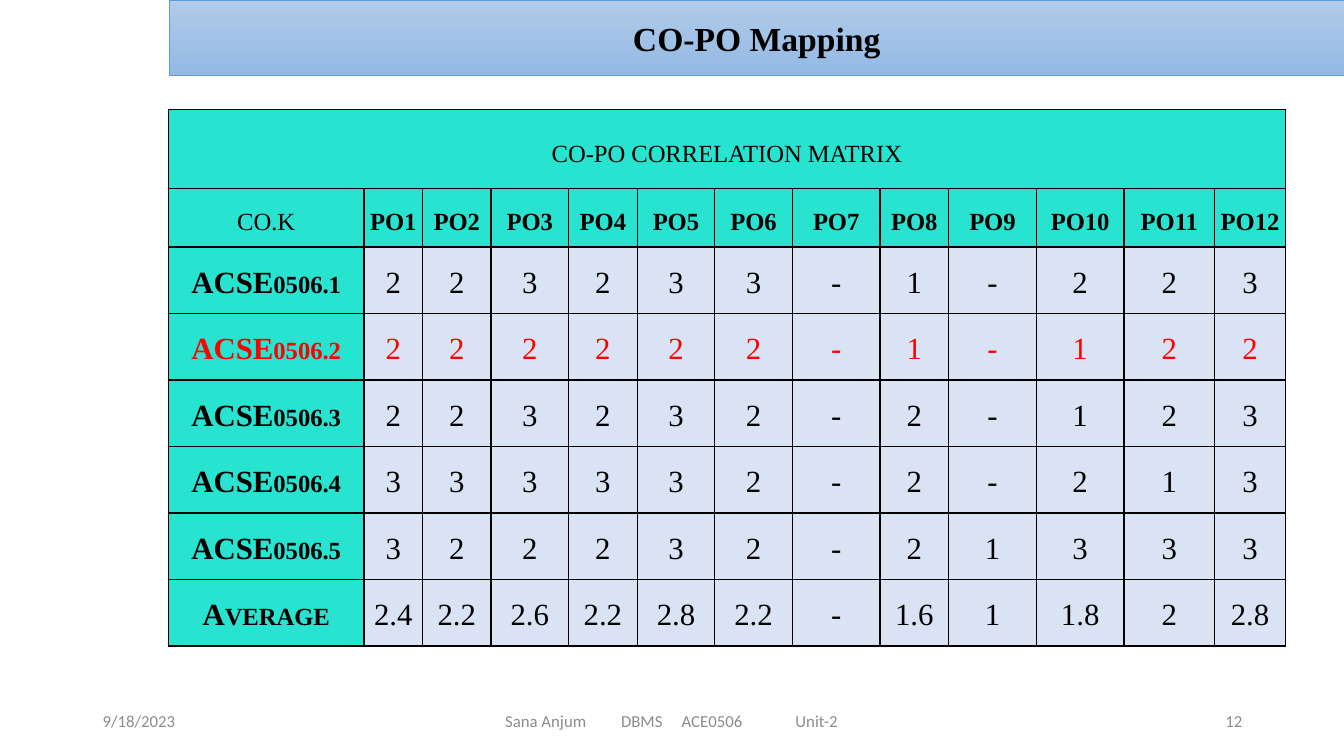
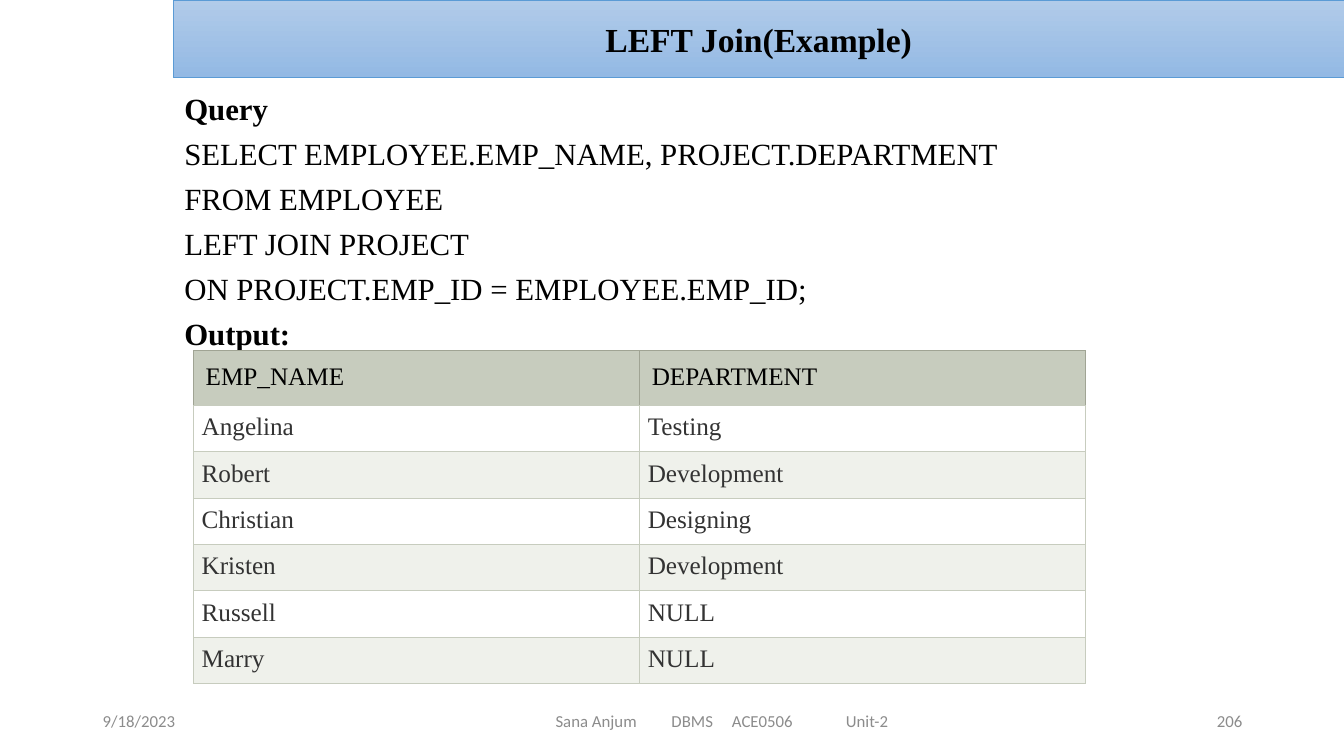
from dataclasses import dataclass

from lxml import etree
from pptx import Presentation
from pptx.dml.color import RGBColor
from pptx.enum.text import MSO_ANCHOR, MSO_AUTO_SIZE, PP_ALIGN
from pptx.oxml.ns import qn
from pptx.util import Inches, Pt

LEFT, CENTER, RIGHT = PP_ALIGN.LEFT, PP_ALIGN.CENTER, PP_ALIGN.RIGHT
JUSTIFY = PP_ALIGN.JUSTIFY
TOP, MIDDLE = MSO_ANCHOR.TOP, MSO_ANCHOR.MIDDLE
NO_FIT = MSO_AUTO_SIZE.NONE


@dataclass(frozen=True)
class Theme:
    serif: str = "Times New Roman"
    sans: str = "Calibri"
    title_size: int = 24
    body_size: int = 22
    table_size: int = 18
    footer_size: int = 12
    black: str = "000000"
    highlight: str = "FF0000"
    footer: str = "8C8C8C"
    band_top: str = "B1CBE9"
    band_bottom: str = "93B9E4"
    band_line: str = "5B9BD5"
    matrix_head: str = "29E3D1"
    matrix_body: str = "DAE3F3"
    output_head: str = "C7CCBE"
    output_head_line: str = "A0A494"
    output_text: str = "333333"
    output_odd: str = "FFFFFF"
    output_even: str = "EFF1EB"


theme = Theme()


def add_span(para, text, size, color, font=theme.serif, bold=False, small_caps=False):
    span = para.add_run()
    span.text = text
    span.font.name = font
    span.font.size = Pt(size)
    span.font.bold = bold
    span.font.color.rgb = RGBColor.from_string(color)
    if small_caps:
        span.font._element.set("cap", "small")


def format_cell(cell, fill, margin, anchor, line_width, lines):
    cell.margin_left = cell.margin_right = Inches(margin)
    cell.margin_top = cell.margin_bottom = Inches(margin)
    cell.vertical_anchor = anchor
    properties = cell._tc.get_or_add_tcPr()
    for side, color in zip(("lnL", "lnR", "lnT", "lnB"), lines):
        line = etree.SubElement(properties, qn(f"a:{side}"), w=str(Pt(line_width)))
        solid = etree.SubElement(line, qn("a:solidFill"))
        etree.SubElement(solid, qn("a:srgbClr"), val=color)
    cell.fill.solid()
    cell.fill.fore_color.rgb = RGBColor.from_string(fill)


deck = Presentation()
deck.slide_width, deck.slide_height = Inches(13.33), Inches(7.5)

footer_parts = ("Sana Anjum", "DBMS", "ACE0506", "Unit-2")
footer_tabs = (1.15, 1.75, 2.88)
footer_text_width = 3.32

pages = []
for title_text, band_left, band_height, footer_width, number in (
    ("CO-PO Mapping", 1.68, 0.75, 4.5, "12"),
    ("LEFT Join(Example)", 1.72, 0.77, 5.5, "206"),
):
    page = deck.slides.add_slide(deck.slide_layouts[5])
    pages.append(page)

    title = page.shapes.title
    title.left, title.top = Inches(band_left), Inches(0)
    title.width, title.height = Inches(13.33 - band_left), Inches(band_height)
    title.fill.gradient()
    title.fill.gradient_angle = 270
    for stop, color in zip(title.fill.gradient_stops, (theme.band_top, theme.band_bottom)):
        stop.color.rgb = RGBColor.from_string(color)
    title.line.color.rgb = RGBColor.from_string(theme.band_line)
    title.line.width = Pt(0.5)
    title.text_frame.auto_size = NO_FIT
    title.text_frame.vertical_anchor = MIDDLE
    para = title.text_frame.paragraphs[0]
    para.alignment = CENTER
    add_span(para, title_text, theme.title_size, theme.black, bold=True)

    for left, width, inset, align, text in (
        (0.92, 3, 0.1, LEFT, "9/18/2023"),
        (4.42, footer_width, (footer_width - footer_text_width) / 2, LEFT, "\t".join(footer_parts)),
        (9.42, 3, 0.1, RIGHT, number),
    ):
        box = page.shapes.add_textbox(Inches(left), Inches(6.95), Inches(width), Inches(0.4))
        frame = box.text_frame
        frame.word_wrap = True
        frame.vertical_anchor = MIDDLE
        frame.margin_left = Inches(inset)
        para = frame.paragraphs[0]
        para.alignment = align
        if "\t" in text:
            tabs = etree.SubElement(para._p.get_or_add_pPr(), qn("a:tabLst"))
            for position in footer_tabs:
                etree.SubElement(tabs, qn("a:tab"), pos=str(Inches(position)), algn="l")
        add_span(para, text, theme.footer_size, theme.footer, font=theme.sans)

mapping_page, join_page = pages

matrix_rows = [
    ["co-po correlation matrix"] + [""] * 12,
    ["co.k"] + [f"po{number}" for number in range(1, 13)],
    ["ACSE0506.1", *"223233-1-223"],
    ["ACSE0506.2", *"222222-1-122"],
    ["ACSE0506.3", *"223232-2-123"],
    ["ACSE0506.4", *"333332-2-213"],
    ["ACSE0506.5", *"322232-21333"],
    ["Average", "2.4", "2.2", "2.6", "2.2", "2.8", "2.2", "-", "1.6", "1", "1.8", "2", "2.8"],
]
matrix_widths = (1.94, 0.58, 0.68, 0.77, 0.68, 0.77, 0.77, 0.87, 0.68, 0.87, 0.87, 0.9, 0.7)
matrix_heights = [0.78, 0.58] + [0.66] * 6
highlight_row = 3

matrix = mapping_page.shapes.add_table(
    len(matrix_rows), len(matrix_widths),
    Inches(1.67), Inches(1.09), Inches(sum(matrix_widths)), Inches(sum(matrix_heights)),
).table
matrix.first_row = matrix.horz_banding = False
for column, width in zip(matrix.columns, matrix_widths):
    column.width = Inches(width)
for row, height in zip(matrix.rows, matrix_heights):
    row.height = Inches(height)
matrix.cell(0, 0).merge(matrix.cell(0, len(matrix_widths) - 1))

for r, values in enumerate(matrix_rows):
    for c, value in enumerate(values):
        is_label = r < 2 or c == 0
        cell = matrix.cell(r, c)
        fill = theme.matrix_head if is_label else theme.matrix_body
        format_cell(cell, fill, 0, MIDDLE, 1, [theme.black] * 4)
        if not value:
            continue
        para = cell.text_frame.paragraphs[0]
        para.alignment = CENTER
        para.line_spacing = 1.15
        para.space_after = Pt(10)
        color = theme.highlight if r == highlight_row else theme.black
        is_bold = is_label and r > 0 and (r, c) != (1, 0)
        add_span(para, value, theme.body_size, color, bold=is_bold, small_caps=is_label)

query_lines = (
    ("Query", True),
    ("SELECT EMPLOYEE.EMP_NAME, PROJECT.DEPARTMENT", False),
    ("FROM EMPLOYEE", False),
    ("LEFT JOIN PROJECT", False),
    ("ON PROJECT.EMP_ID = EMPLOYEE.EMP_ID;", False),
    ("Output:", True),
)
query_box = join_page.shapes.add_textbox(Inches(1.73), Inches(0.91), Inches(9.68), Inches(2.55))
query_frame = query_box.text_frame
query_frame.word_wrap = True
for index, (text, bold) in enumerate(query_lines):
    para = query_frame.add_paragraph() if index else query_frame.paragraphs[0]
    para.alignment = JUSTIFY
    para.line_spacing = 0.8
    if index:
        para.space_before = Pt(11)
    add_span(para, text, theme.body_size, theme.black, bold=bold)

output_rows = (
    ("EMP_NAME", "DEPARTMENT"),
    ("Angelina", "Testing"),
    ("Robert", "Development"),
    ("Christian", "Designing"),
    ("Kristen", "Development"),
    ("Russell", "NULL"),
    ("Marry", "NULL"),
)
output_heights = [0.53] + [0.45] * 6
output = join_page.shapes.add_table(
    len(output_rows), 2, Inches(1.92), Inches(3.48), Inches(8.85), Inches(sum(output_heights)),
).table
output.first_row = output.horz_banding = False
for row, height in zip(output.rows, output_heights):
    row.height = Inches(height)

for r, values in enumerate(output_rows):
    for c, value in enumerate(values):
        cell = output.cell(r, c)
        para = cell.text_frame.paragraphs[0]
        if r == 0:
            lines = [theme.output_head_line] * 3 + [theme.output_head]
            format_cell(cell, theme.output_head, 0.12, TOP, 0.75, lines)
            para.alignment = LEFT
            add_span(para, value, theme.table_size, theme.black)
        else:
            fill = theme.output_odd if r % 2 else theme.output_even
            format_cell(cell, fill, 0.08, TOP, 0.75, [theme.output_head] * 4)
            para.alignment = JUSTIFY
            add_span(para, value, theme.table_size, theme.output_text)

deck.save("out.pptx")
